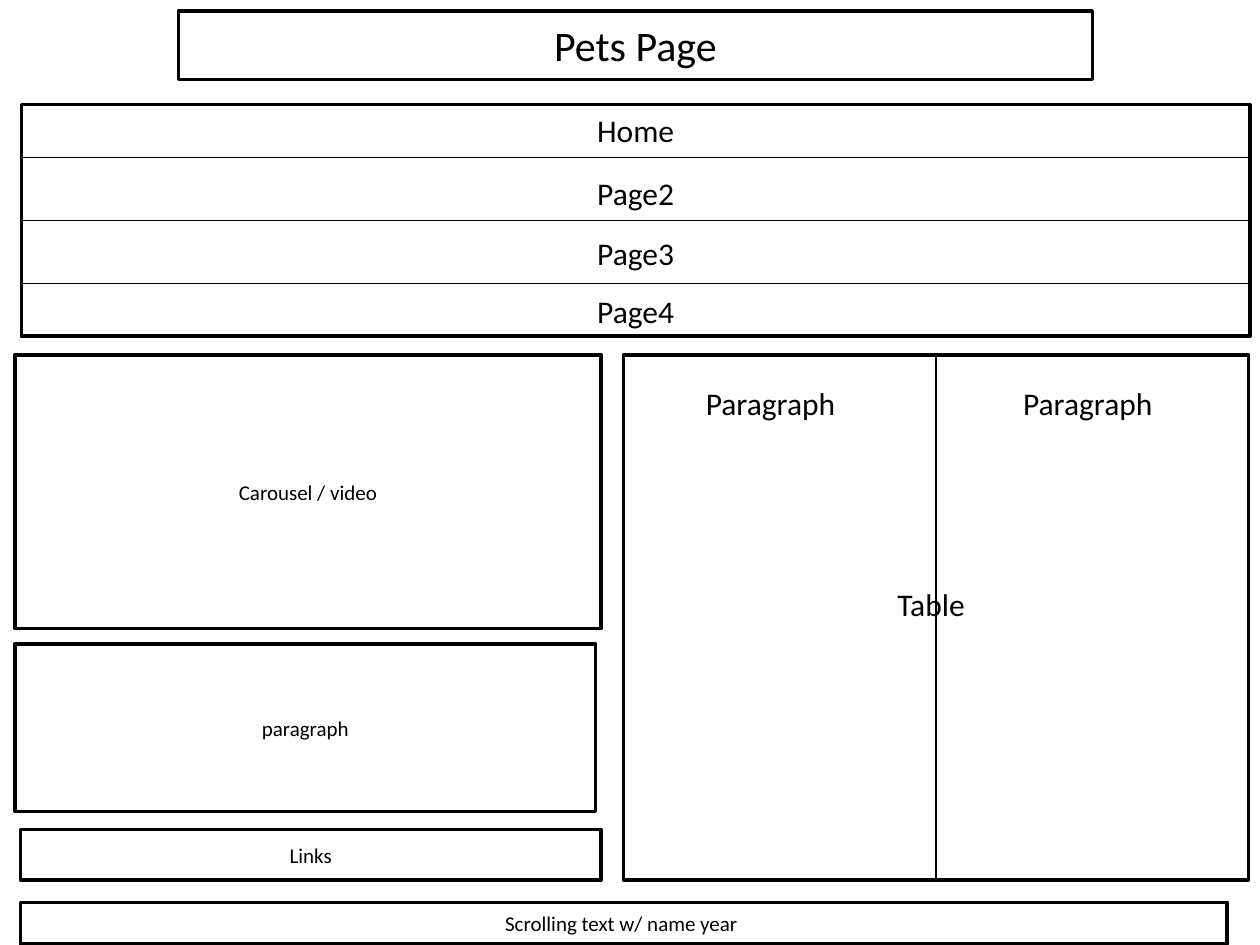
from lxml import etree
from pptx import Presentation
from pptx import util as u
from pptx.dml.color import RGBColor
from pptx.enum import shapes, text
from pptx.oxml.ns import qn

COLOURS = {"ink": "000000", "paper": "FFFFFF"}
FONT = "Calibri"
LABEL_HEIGHT = 1.02


def colour(name):
    return RGBColor.from_string(COLOURS[name])


class Wireframe:
    """Style and current slide; all lengths are in centimetres."""

    def __init__(self, slide):
        self.slide = slide
        self.border = u.Pt(2)
        self.rule_width = u.Pt(0.75)

    def set_words(self, shape, words, size, anchor):
        frame = shape.text_frame
        frame.text = words
        frame.word_wrap = True
        frame.vertical_anchor = anchor
        paragraph = frame.paragraphs[0]
        paragraph.alignment = text.PP_ALIGN.CENTER
        for run in paragraph.runs:
            run.font.name = FONT
            run.font.size = u.Pt(size)
            run.font.color.rgb = colour("ink")

    def outline(self, shape, filled=True):
        if filled:
            shape.fill.solid()
            shape.fill.fore_color.rgb = colour("paper")
        else:
            shape.fill.background()
        shape.line.color.rgb = colour("ink")
        shape.line.width = self.border

    def title(self, words, left, top, width, height):
        heading = self.slide.shapes.title
        heading.left, heading.top = u.Cm(left), u.Cm(top)
        heading.width, heading.height = u.Cm(width), u.Cm(height)
        self.outline(heading)
        self.set_words(heading, words, 24, text.MSO_ANCHOR.MIDDLE)
        heading.text_frame.auto_size = text.MSO_AUTO_SIZE.NONE

    def box(self, left, top, width, height, words="", filled=True):
        panel = self.slide.shapes.add_shape(
            shapes.MSO_SHAPE.RECTANGLE,
            u.Cm(left), u.Cm(top), u.Cm(width), u.Cm(height))
        panel.shadow.inherit = False
        self.outline(panel, filled)
        if words:
            self.set_words(panel, words, 12, text.MSO_ANCHOR.MIDDLE)

    def label(self, words, left, top, width):
        caption = self.slide.shapes.add_textbox(
            u.Cm(left), u.Cm(top), u.Cm(width), u.Cm(LABEL_HEIGHT))
        self.set_words(caption, words, 18, text.MSO_ANCHOR.TOP)
        caption.text_frame.auto_size = text.MSO_AUTO_SIZE.SHAPE_TO_FIT_TEXT

    def rule(self, x1, y1, x2, y2):
        divider = self.slide.shapes.add_connector(
            shapes.MSO_CONNECTOR.STRAIGHT,
            u.Cm(x1), u.Cm(y1), u.Cm(x2), u.Cm(y2))
        divider.line.color.rgb = colour("ink")
        divider.line.width = self.rule_width
        etree.SubElement(divider.element.spPr, qn("a:effectLst"))


def draw_navigation(page):
    left, top, width, height = 0.43, 2.11, 24.77, 4.67
    page.box(left, top, width, height)
    for row in range(3):
        y = 3.18 + 1.27 * row
        page.rule(left, y, left + width, y)
    centre = left + width / 2
    links = [("Home", 2.11, 17.98), ("Page2", 3.38, 17.78),
             ("Page3", 4.6, 14.6), ("Page4", 5.77, 12.57)]
    for words, link_top, link_width in links:
        page.label(words, centre - link_width / 2, link_top, link_width)


def draw_table_area(page):
    left, top, width, height = 12.57, 7.16, 12.6, 10.58
    page.box(left, top, width, height)
    middle = left + width / 2
    page.rule(middle, top, middle, top + height)
    page.label("Paragraph ", 12.8, 7.62, 5.61)
    page.label("Paragraph", 19.1, 7.62, 5.66)
    page.label("Table", 12.8, 11.66, 11.94)


def main():
    deck = Presentation()
    deck.slide_width, deck.slide_height = u.Cm(25.4), u.Cm(19.05)
    title_only = deck.slide_layouts[5]
    page = Wireframe(deck.slides.add_slide(title_only))

    page.title("Pets Page", 3.6, 0.22, 18.42, 1.38)
    draw_navigation(page)
    page.box(0.41, 18.19, 24.33, 0.84, "Scrolling text w/ name year ", filled=False)
    page.box(0.3, 7.16, 11.82, 5.51, "Carousel / video")
    draw_table_area(page)
    page.box(0.41, 16.72, 11.71, 1.02, "Links")
    page.box(0.3, 12.98, 11.71, 3.38, "paragraph")
    deck.save("out.pptx")


if __name__ == "__main__":
    main()
